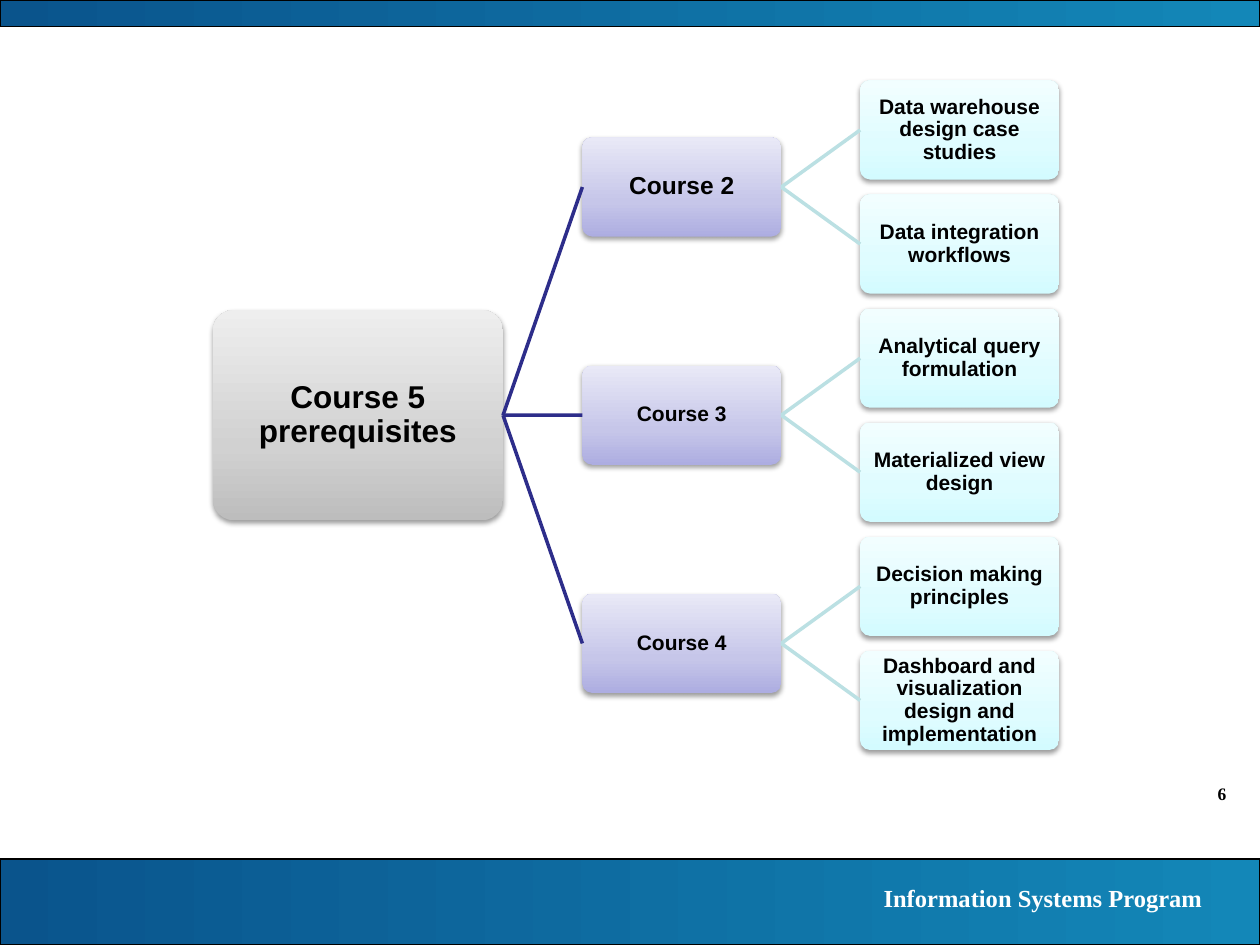
from dataclasses import dataclass

from lxml import etree
from pptx import Presentation
from pptx.dml.color import RGBColor
from pptx.enum.shapes import MSO_CONNECTOR, MSO_SHAPE
from pptx.enum.text import MSO_ANCHOR, PP_ALIGN
from pptx.oxml import parse_xml
from pptx.oxml.ns import nsdecls, qn
from pptx.util import Cm, Pt

RECTANGLE = MSO_SHAPE.RECTANGLE
ROUNDED = MSO_SHAPE.ROUNDED_RECTANGLE
STRAIGHT = MSO_CONNECTOR.STRAIGHT
CENTER, RIGHT = PP_ALIGN.CENTER, PP_ALIGN.RIGHT
TOP, MIDDLE = MSO_ANCHOR.TOP, MSO_ANCHOR.MIDDLE
LEFT_SIDE, RIGHT_SIDE = 1, 3

# Content
ROOT = "Course 5 prerequisites"
COURSES = [
    ("Course 2", ["Data warehouse design case studies", "Data integration workflows"]),
    ("Course 3", ["Analytical query formulation", "Materialized view design"]),
    ("Course 4", ["Decision making principles",
                  "Dashboard and visualization design and implementation"]),
]
PROGRAM = "Information Systems Program"
PAGE_NUMBER = "6"


@dataclass(frozen=True)
class Theme:
    body_font: str = "Arial"
    band_font: str = "Times New Roman"
    ink: str = "000000"
    light: str = "FFFFFF"
    band: tuple = ((0, "0A548C"), (100, "1387B8"))
    root: tuple = ((0, "BDBDBD"), (35, "D1D1D1"), (100, "EEEEEE"))
    course: tuple = ((0, "ADADE1"), (35, "C6C6E9"), (100, "E9E9F7"))
    topic: tuple = ((0, "D3FBFF"), (35, "DFFCFF"), (100, "F2FEFF"))
    course_line: str = "2D2D8A"
    topic_line: str = "BBE0E3"
    root_size: int = 18
    large_size: int = 14
    small_size: int = 12
    number_size: int = 10


THEME = Theme()

# Layout, in centimetres
PAGE_WIDTH, PAGE_HEIGHT = 25.4, 19.05
TOP_BAND, BOTTOM_BAND = 0.53, 1.73
ROOT_X, COURSE_X, TOPIC_X = 4.29, 11.74, 17.34
ROOT_WIDTH, ROOT_HEIGHT = 5.85, 4.24
NODE_WIDTH, NODE_HEIGHT = 4.01, 2.0
FIRST_TOPIC_Y, TOPIC_STEP = 2.62, 2.3


def set_gradient(shape, stops, angle):
    """Fill with (percent, colour) stops; the angle runs clockwise in degrees."""
    marks = "".join(
        f'<a:gs pos="{percent * 1000}"><a:srgbClr val="{color}"/></a:gs>'
        for percent, color in stops)
    gradient = parse_xml(
        f'<a:gradFill {nsdecls("a")} rotWithShape="1"><a:gsLst>{marks}</a:gsLst>'
        f'<a:lin ang="{angle * 60000}" scaled="0"/></a:gradFill>')
    shape._element.spPr.find(qn("a:prstGeom")).addnext(gradient)


def add_soft_shadow(shape):
    shape.shadow.inherit = False
    effects = shape._element.spPr.find(qn("a:effectLst"))
    effects.append(parse_xml(
        f'<a:outerShdw {nsdecls("a")} blurRad="{Pt(3.1)}" dist="{Pt(1.6)}" '
        'dir="5400000" rotWithShape="0"><a:srgbClr val="000000">'
        '<a:alpha val="38000"/></a:srgbClr></a:outerShdw>'))


def write_text(box, text, *, size, font=THEME.body_font, color=THEME.ink,
               align=CENTER, anchor=MIDDLE, spacing=1.0, inset=None):
    frame = box.text_frame
    frame.word_wrap = True
    frame.vertical_anchor = anchor
    if inset is not None:
        frame.margin_left = frame.margin_right = Cm(inset)
        frame.margin_top = frame.margin_bottom = Cm(inset)
    para = frame.paragraphs[0]
    para.alignment = align
    para.line_spacing = spacing
    span = para.add_run()
    span.text = text
    span.font.name = font
    span.font.size = Pt(size)
    span.font.bold = True
    span.font.color.rgb = RGBColor.from_string(color)


def add_band(page, y, height):
    band = page.shapes.add_shape(RECTANGLE, 0, Cm(y), Cm(PAGE_WIDTH), Cm(height))
    set_gradient(band, THEME.band, 0)
    band.line.color.rgb = RGBColor.from_string(THEME.ink)
    band.line.width = Pt(0.75)
    band.shadow.inherit = False


def add_label(page, text, x, y, width, height, **text_format):
    box = page.shapes.add_textbox(Cm(x), Cm(y), Cm(width), Cm(height))
    write_text(box, text, font=THEME.band_font, align=RIGHT, anchor=TOP, **text_format)


def add_node(page, text, x, middle, stops, size, width=NODE_WIDTH, height=NODE_HEIGHT):
    """Add a tree box whose vertical centre is at middle."""
    node = page.shapes.add_shape(
        ROUNDED, Cm(x), Cm(middle - height / 2), Cm(width), Cm(height))
    node.adjustments[0] = 0.1
    set_gradient(node, stops, 270)
    node.line.fill.background()
    add_soft_shadow(node)
    write_text(node, text, size=size, spacing=0.9, inset=0.09)
    return node


def join(page, parent, child, color):
    link = page.shapes.add_connector(STRAIGHT, 0, 0, 0, 0)
    link.begin_connect(parent, RIGHT_SIDE)
    link.end_connect(child, LEFT_SIDE)
    link.line.color.rgb = RGBColor.from_string(color)
    link.line.width = Pt(2)
    etree.SubElement(link._element.spPr, qn("a:effectLst"))


def add_tree(page):
    topic_count = sum(len(topics) for _, topics in COURSES)
    root_middle = FIRST_TOPIC_Y + TOPIC_STEP * (topic_count - 1) / 2
    root = add_node(page, ROOT, ROOT_X, root_middle, THEME.root, THEME.root_size,
                    ROOT_WIDTH, ROOT_HEIGHT)
    next_y = FIRST_TOPIC_Y
    for index, (name, topics) in enumerate(COURSES):
        course_middle = next_y + TOPIC_STEP * (len(topics) - 1) / 2
        size = THEME.large_size if index == 0 else THEME.small_size
        course = add_node(page, name, COURSE_X, course_middle, THEME.course, size)
        join(page, root, course, THEME.course_line)
        for text in topics:
            topic = add_node(page, text, TOPIC_X, next_y, THEME.topic, THEME.small_size)
            join(page, course, topic, THEME.topic_line)
            next_y += TOPIC_STEP


def main():
    deck = Presentation()
    deck.slide_width, deck.slide_height = Cm(PAGE_WIDTH), Cm(PAGE_HEIGHT)
    page = deck.slides.add_slide(deck.slide_layouts[6])
    add_label(page, PAGE_NUMBER, 22.86, 15.67, 2.11, 0.69, size=THEME.number_size)
    add_band(page, PAGE_HEIGHT - BOTTOM_BAND, BOTTOM_BAND)
    add_band(page, 0, TOP_BAND)
    add_label(page, PROGRAM, 14.1, 17.68, 10.39, 0.86,
              size=THEME.large_size, color=THEME.light)
    add_tree(page)
    deck.save("out.pptx")


if __name__ == "__main__":
    main()
